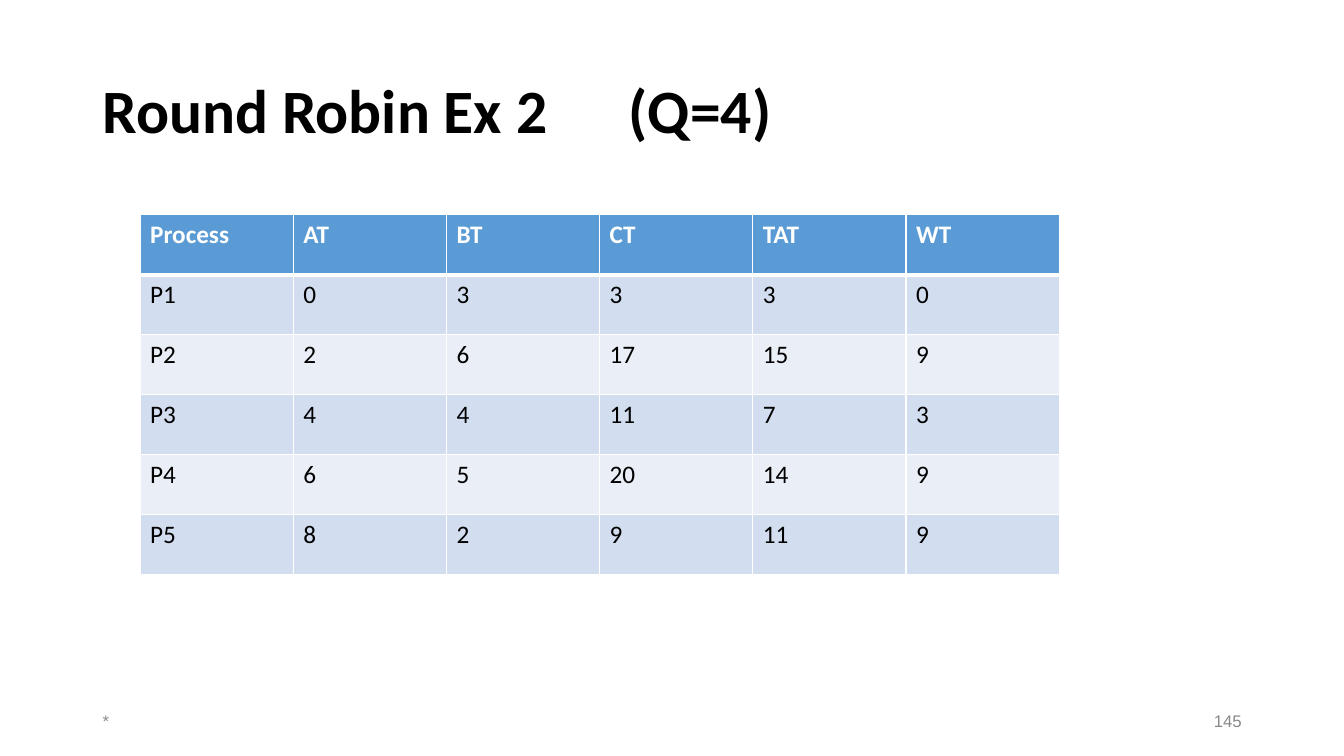
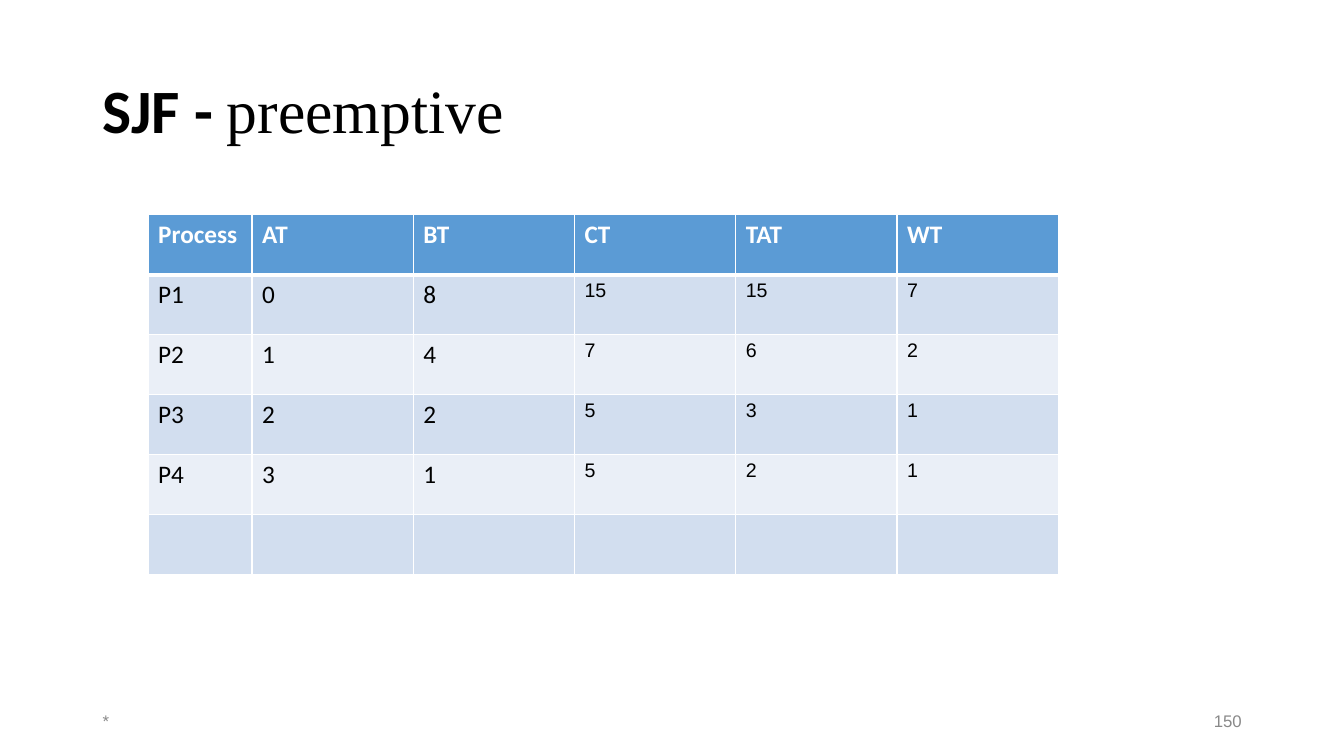
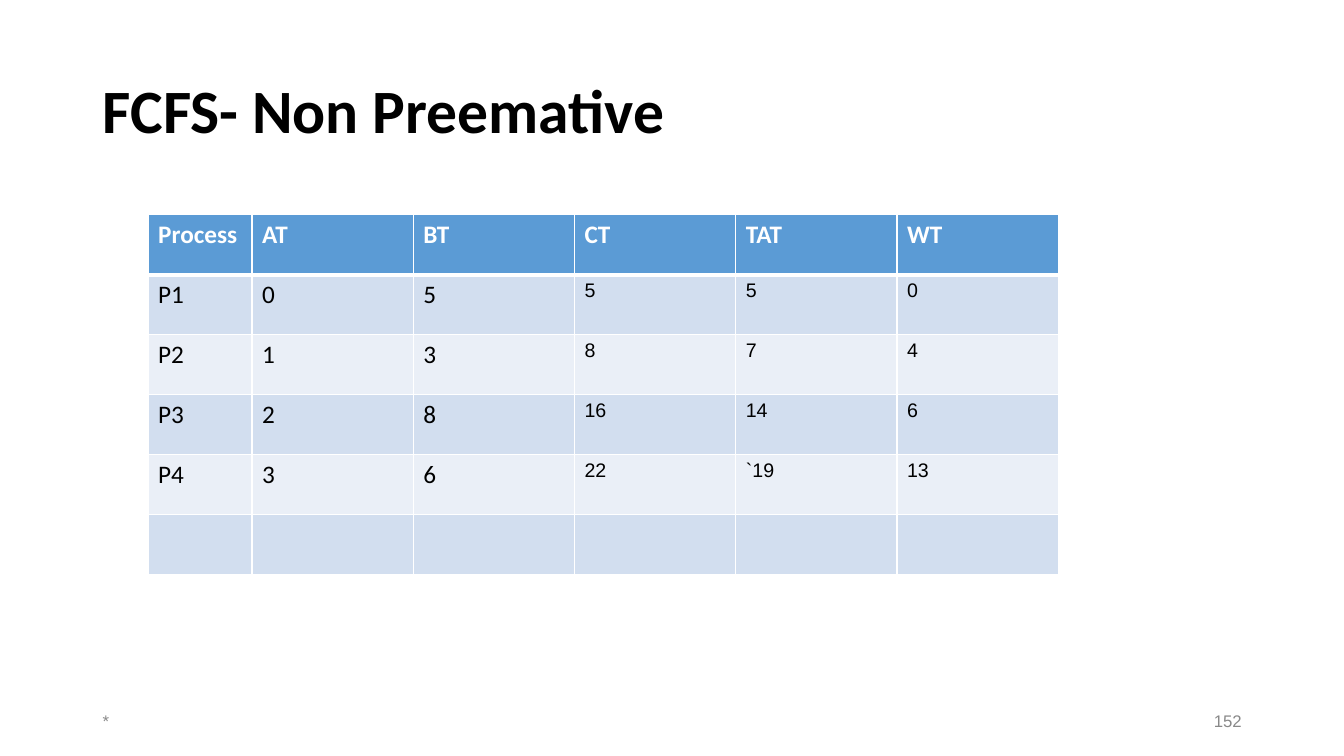
from lxml.etree import SubElement
from pptx import Presentation
from pptx.dml.color import RGBColor
from pptx.enum.text import MSO_ANCHOR, PP_ALIGN
from pptx.oxml.ns import qn
from pptx.util import Pt

EMU_PER_PX = 4572
SLIDE_WIDTH, SLIDE_HEIGHT = 2667, 1500
MARGIN_LEFT = 184
TITLE_BOX = (MARGIN_LEFT, 80, 2300, 290)
DATE_BOX = (MARGIN_LEFT, 1390, 600, 80)
NUMBER_BOX = (1884, 1390, 600, 80)
TITLE_TAB = 1044
TABLE_TOP, ROW_HEIGHT = 426, 119

BLACK, WHITE, GREY = "000000", "FFFFFF", "898989"
HEADER_FILL = "5B9BD5"
BAND_FILLS = ("D2DEEF", "EAEFF7")

TITLE_STYLE = ("Calibri", 44, BLACK, True)
TITLE_LIGHT_STYLE = ("Times New Roman", 44, BLACK, False)
FOOTER_STYLE = ("Arial", 12, GREY, False)
HEADER_STYLE = ("Calibri", 18, WHITE, True)
BODY_STYLE = ("Calibri", 18, BLACK, False)
RESULT_STYLE = ("Arial", 14, BLACK, False)

HEADERS = ("Process", "AT", "BT", "CT", "TAT", "WT")
EVEN_COLUMNS = (304,) * 6
NARROW_FIRST_COLUMNS = (206,) + (320,) * 5
EMPTY_ROW = ("",) * 6

ROUND_ROBIN_ROWS = (
    ("P1", "0", "3", "3", "3", "0"),
    ("P2", "2", "6", "17", "15", "9"),
    ("P3", "4", "4", "11", "7", "3"),
    ("P4", "6", "5", "20", "14", "9"),
    ("P5", "8", "2", "9", "11", "9"),
)
SJF_ROWS = (
    ("P1", "0", "8", "15", "15", "7"),
    ("P2", "1", "4", "7", "6", "2"),
    ("P3", "2", "2", "5", "3", "1"),
    ("P4", "3", "1", "5", "2", "1"),
    EMPTY_ROW,
)
FCFS_ROWS = (
    ("P1", "0", "5", "5", "5", "0"),
    ("P2", "1", "3", "8", "7", "4"),
    ("P3", "2", "8", "16", "14", "6"),
    ("P4", "3", "6", "22", "`19", "13"),
    EMPTY_ROW,
)


def px(length):
    return length * EMU_PER_PX


def color(value):
    return RGBColor.from_string(value)


def style_run(run, style):
    name, size, text_color, bold = style
    run.font.name = name
    run.font.size = Pt(size)
    run.font.bold = bold
    run.font.color.rgb = color(text_color)


def add_text(slide, box, parts, alignment=PP_ALIGN.LEFT):
    shape = slide.shapes.add_textbox(*map(px, box))
    text_frame = shape.text_frame
    text_frame.word_wrap = True
    text_frame.vertical_anchor = MSO_ANCHOR.MIDDLE
    paragraph = text_frame.paragraphs[0]
    paragraph.alignment = alignment
    for text, style in parts:
        run = paragraph.add_run()
        run.text = text
        style_run(run, style)
    return paragraph


def add_tab_stop(paragraph, position):
    tabs = SubElement(paragraph._p.get_or_add_pPr(), qn("a:tabLst"))
    SubElement(tabs, qn("a:tab"), pos=str(px(position)), algn="l")


def add_title(slide, parts):
    paragraph = add_text(slide, TITLE_BOX, parts)
    if any("\t" in text for text, style in parts):
        add_tab_stop(paragraph, TITLE_TAB)
    paragraph.line_spacing = 0.9


def add_footer(slide, number):
    add_text(slide, DATE_BOX, [("*", FOOTER_STYLE)])
    add_text(slide, NUMBER_BOX, [(str(number), FOOTER_STYLE)], PP_ALIGN.RIGHT)


def set_borders(cell, top, bottom):
    properties = cell._tc.get_or_add_tcPr()
    for side, width in (("L", 1), ("R", 1), ("T", top), ("B", bottom)):
        line = SubElement(properties, qn(f"a:ln{side}"), w=str(Pt(width)))
        fill = SubElement(line, qn("a:solidFill"))
        SubElement(fill, qn("a:srgbClr"), val=WHITE)


def fill_cell(cell, text, style, row):
    cell.text = text
    for run in cell.text_frame.paragraphs[0].runs:
        style_run(run, style)
    set_borders(cell, top=3 if row == 1 else 1, bottom=3 if row == 0 else 1)
    cell.fill.solid()
    cell.fill.fore_color.rgb = color(BAND_FILLS[(row - 1) % 2] if row else HEADER_FILL)


def add_process_table(slide, left, widths, rows, result_style):
    all_rows = (HEADERS,) + rows
    frame = slide.shapes.add_table(
        len(all_rows), len(HEADERS), px(left), px(TABLE_TOP),
        px(sum(widths)), px(ROW_HEIGHT * len(all_rows)))
    table = frame.table
    table.horz_banding = False
    for column, width in zip(table.columns, widths):
        column.width = px(width)
    body_styles = (BODY_STYLE,) * 3 + (result_style,) * 3
    for row, texts in enumerate(all_rows):
        table.rows[row].height = px(ROW_HEIGHT)
        styles = body_styles if row else (HEADER_STYLE,) * len(HEADERS)
        for column, (text, style) in enumerate(zip(texts, styles)):
            fill_cell(table.cell(row, column), text, style, row)


def add_schedule_slide(presentation, title, number, left, widths, rows, result_style):
    slide = presentation.slides.add_slide(presentation.slide_layouts[6])
    add_title(slide, title)
    add_footer(slide, number)
    add_process_table(slide, left, widths, rows, result_style)


def main():
    presentation = Presentation()
    presentation.slide_width = px(SLIDE_WIDTH)
    presentation.slide_height = px(SLIDE_HEIGHT)
    add_schedule_slide(
        presentation, [("Round Robin Ex 2\t(Q=4)", TITLE_STYLE)], 145,
        278, EVEN_COLUMNS, ROUND_ROBIN_ROWS, BODY_STYLE)
    add_schedule_slide(
        presentation, [("SJF - ", TITLE_STYLE), ("preemptive", TITLE_LIGHT_STYLE)], 150,
        294, NARROW_FIRST_COLUMNS, SJF_ROWS, RESULT_STYLE)
    add_schedule_slide(
        presentation, [("FCFS- Non Preemative", TITLE_STYLE)], 152,
        294, NARROW_FIRST_COLUMNS, FCFS_ROWS, RESULT_STYLE)
    presentation.save("out.pptx")


if __name__ == "__main__":
    main()
